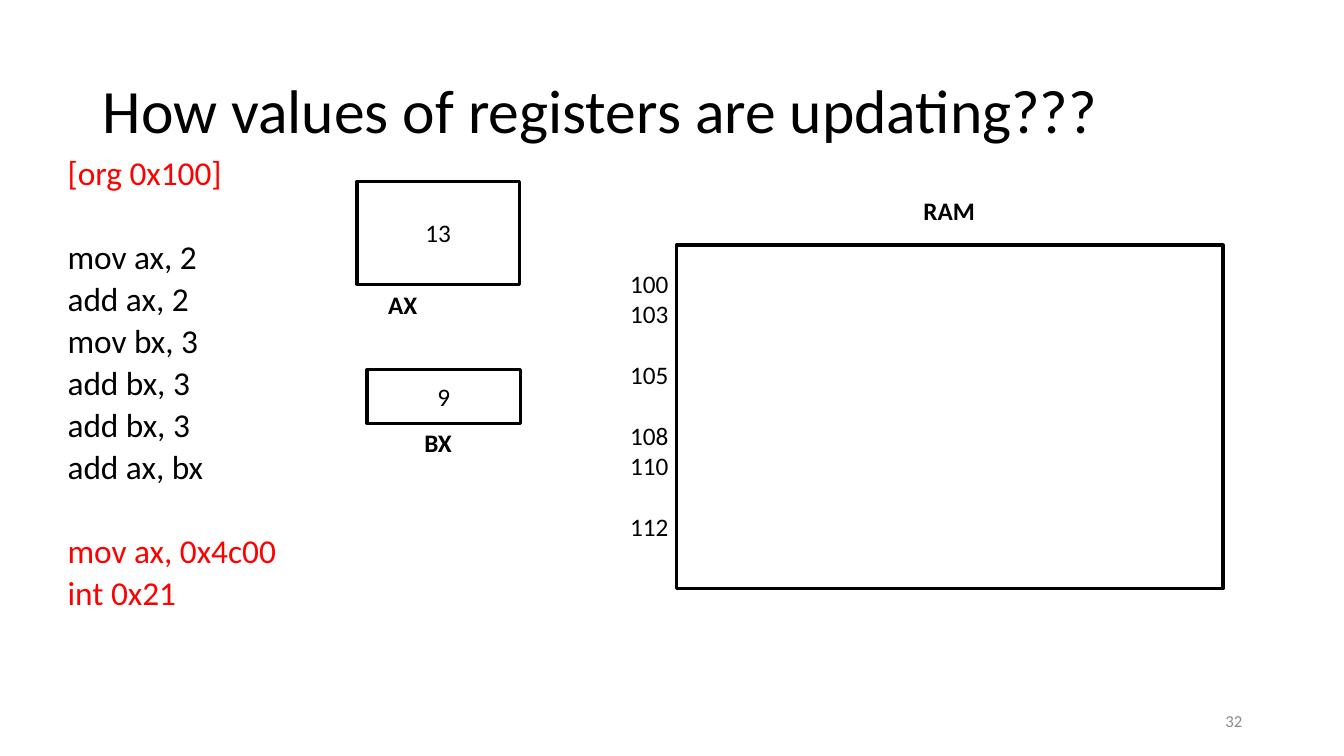
"""Build the slide that follows the AX and BX registers through a short assembly program."""
from pptx import Presentation
from pptx.dml.color import RGBColor
from pptx.enum.shapes import MSO_SHAPE
from pptx.enum.text import MSO_ANCHOR, MSO_AUTO_SIZE, PP_ALIGN
from pptx.oxml.xmlchemy import OxmlElement
from pptx.util import Inches, Pt

THEME = {
    "font": "Calibri",
    "black": RGBColor(0, 0, 0),
    "white": RGBColor(255, 255, 255),
    "red": RGBColor(255, 0, 0),
    "grey": RGBColor(0x8C, 0x8C, 0x8C),
    "title": Pt(44),
    "code": Pt(23.8),
    "label": Pt(18),
    "number": Pt(12),
    "outline": Pt(2.25),
}


def place(shape, left, top, width, height):
    """Move and size a shape, in inches."""
    values = {"left": left, "top": top, "width": width, "height": height}
    for name, value in values.items():
        setattr(shape, name, Inches(value))


def write(shape, lines, size, color="black", bold=False, align=PP_ALIGN.LEFT,
          anchor=MSO_ANCHOR.TOP, wrap=True, spacing=None):
    """Write (text, points before) lines into a shape and return its paragraphs."""
    frame = shape.text_frame
    frame_format = {"word_wrap": wrap, "vertical_anchor": anchor, "auto_size": MSO_AUTO_SIZE.NONE}
    for name, value in frame_format.items():
        setattr(frame, name, value)
    for index, (text, before) in enumerate(lines):
        para = frame.add_paragraph() if index else frame.paragraphs[0]
        para_format = {"alignment": align, "line_spacing": spacing, "space_before": Pt(before)}
        for name, value in para_format.items():
            setattr(para, name, value)
        span = para.add_run()
        span.text = text
        for name, value in {"name": THEME["font"], "size": THEME[size], "bold": bold}.items():
            setattr(span.font, name, value)
        span.font.color.rgb = THEME[color]
    return frame.paragraphs


deck = Presentation()
deck.slide_width, deck.slide_height = Inches(13.33), Inches(7.5)
page = deck.slides.add_slide(deck.slide_layouts[1])

title = page.shapes.title
place(title, 0.92, 0.4, 11.5, 1.45)
write(title, [("How values of registers are updating???", 0)], "title",
      anchor=MSO_ANCHOR.MIDDLE, spacing=0.9)

code = [
    ("[org 0x100]", 0),
    ("mov ax, 2", 40),
    ("add ax, 2", 10),
    ("mov bx, 3", 10),
    ("add bx, 3", 10),
    ("add bx, 3", 10),
    ("add ax, bx", 10),
    ("mov ax, 0x4c00", 40),
    ("int 0x21", 10),
]
program = page.placeholders[1]
place(program, 0.57, 1.57, 4.18, 4.76)
code_lines = write(program, code, "code", spacing=0.7)
for para in code_lines:
    properties = para._p.get_or_add_pPr()
    properties.set("marL", "0")
    properties.set("indent", "0")
    properties.append(OxmlElement("a:buNone"))
for para in (code_lines[0], *code_lines[-2:]):
    para.runs[0].font.color.rgb = THEME["red"]

boxes = [
    ("", (6.71, 2.43, 5.42, 3.41)),
    ("13", (3.54, 1.8, 1.61, 1.02)),
    ("9", (3.64, 3.67, 1.52, 0.53)),
]
for value, area in boxes:
    box = page.shapes.add_shape(MSO_SHAPE.RECTANGLE, *map(Inches, area))
    box.shadow.inherit = False
    box.fill.solid()
    box.fill.fore_color.rgb = THEME["white"]
    box.line.color.rgb = THEME["black"]
    box.line.width = THEME["outline"]
    if value:
        write(box, [(value, 0)], "label", align=PP_ALIGN.CENTER, anchor=MSO_ANCHOR.MIDDLE)

addresses = [("100", 0), ("103", 0), ("105", 22), ("108", 22), ("110", 0), ("112", 22)]
labels = [
    ([("RAM", 0)], (9.06, 1.89, 1.86, 0.4), {"bold": True}),
    ([("AX", 0)], (3.75, 2.82, 0.49, 0.4), {"bold": True, "wrap": False}),
    ([("BX", 0)], (4.11, 4.19, 0.48, 0.4), {"bold": True, "wrap": False}),
    (addresses, (6.15, 2.61, 0.59, 2.83), {"wrap": False}),
    ([("32", 0)], (9.42, 6.95, 3, 0.4),
     {"size": "number", "color": "grey", "align": PP_ALIGN.RIGHT, "anchor": MSO_ANCHOR.MIDDLE}),
]
for lines, area, style in labels:
    label = page.shapes.add_textbox(*map(Inches, area))
    write(label, lines, **{"size": "label", **style})

deck.save("out.pptx")
